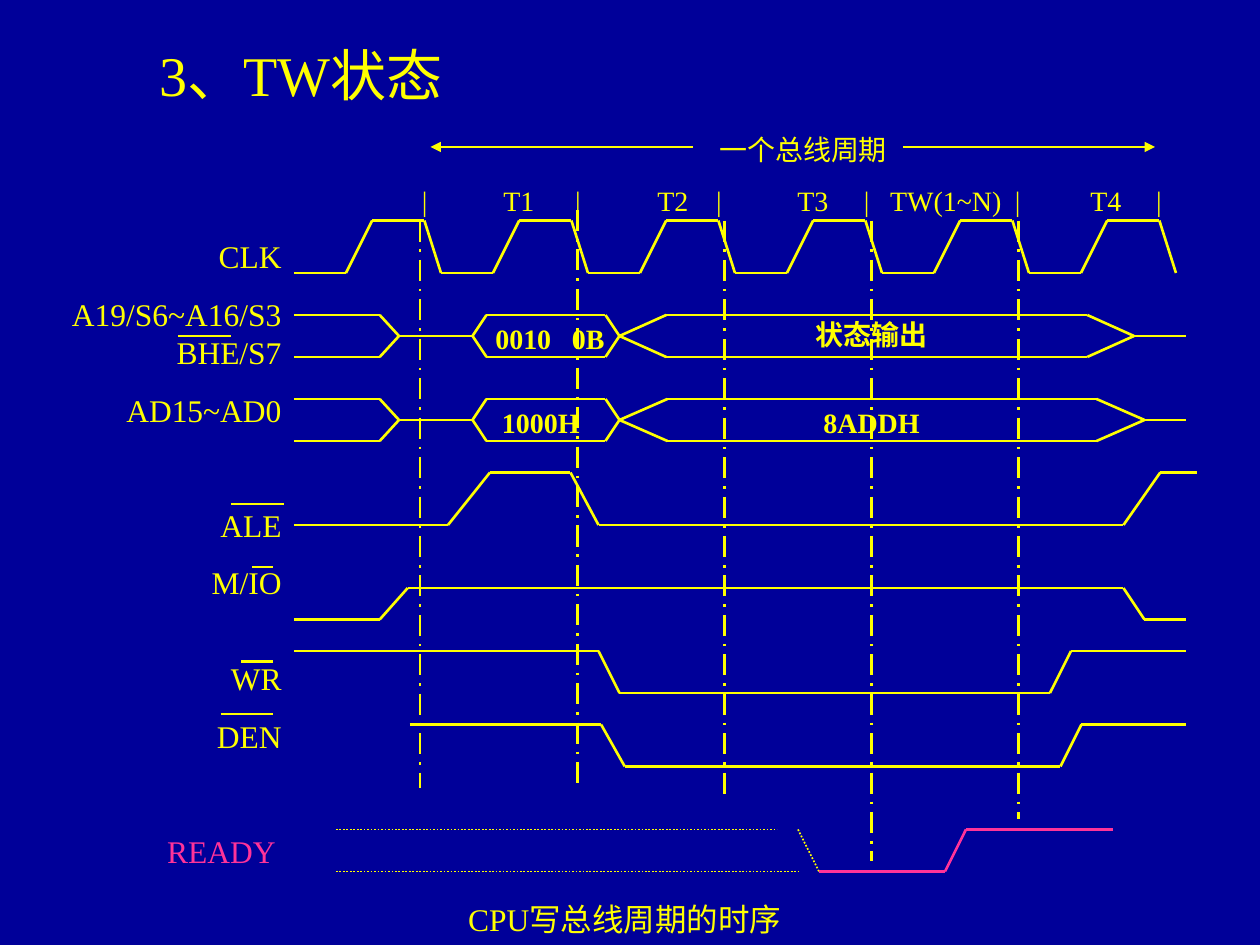
from itertools import pairwise

from lxml import etree
from pptx import Presentation
from pptx.dml.color import RGBColor
from pptx.enum.dml import MSO_LINE
from pptx.enum.shapes import MSO_CONNECTOR
from pptx.enum.text import MSO_ANCHOR, MSO_AUTO_SIZE, PP_ALIGN
from pptx.oxml.ns import qn
from pptx.util import Pt

STRAIGHT = MSO_CONNECTOR.STRAIGHT
DASH_DOT = MSO_LINE.LONG_DASH_DOT
DOTTED = MSO_LINE.ROUND_DOT
LEFT, CENTER, RIGHT = PP_ALIGN.LEFT, PP_ALIGN.CENTER, PP_ALIGN.RIGHT
MIDDLE = MSO_ANCHOR.MIDDLE
NO_FIT = MSO_AUTO_SIZE.NONE

NAVY, YELLOW, PINK = "000099", "FFFF00", "FF3399"
FONT = "Times New Roman"
PERIOD = 84


def color(value):
    return RGBColor.from_string(value)


def draw_trace(slide, left, top, points, hue=YELLOW, width=1.5, dash=None, arrow=False):
    for (x1, y1), (x2, y2) in pairwise(points):
        segment = slide.shapes.add_connector(
            STRAIGHT, Pt(left + x1), Pt(top + y1), Pt(left + x2), Pt(top + y2))
        segment.line.color.rgb = color(hue)
        segment.line.width = Pt(width)
        if dash:
            segment.line.dash_style = dash
        properties = segment._element.spPr
        if arrow:
            outline = properties.find(qn("a:ln"))
            etree.SubElement(outline, qn("a:tailEnd"), type="triangle")
        etree.SubElement(properties, qn("a:effectLst"))


def add_tabs(paragraph, stops):
    properties = paragraph._p.get_or_add_pPr()
    tab_list = etree.SubElement(properties, qn("a:tabLst"))
    for position, side in stops:
        etree.SubElement(tab_list, qn("a:tab"), pos=str(Pt(position)), algn=side)


def format_paragraph(paragraph, size, align=LEFT, bold=False, hue=YELLOW):
    paragraph.alignment = align
    for run in paragraph.runs:
        run.font.name = FONT
        run.font.size = Pt(size)
        run.font.bold = bold
        run.font.color.rgb = color(hue)


def add_text_frame(slide, left, top, width, height):
    frame = slide.shapes.add_textbox(Pt(left), Pt(top), Pt(width), Pt(height)).text_frame
    frame.word_wrap = True
    return frame


def add_caption(slide, left, top, width, height, text, size, align=CENTER, bold=False, tabs=()):
    paragraph = add_text_frame(slide, left, top, width, height).paragraphs[0]
    paragraph.text = text
    if tabs:
        add_tabs(paragraph, tabs)
    format_paragraph(paragraph, size, align, bold)


def place_title(slide, left, top, width, height):
    title = slide.shapes.title
    title.left, title.top, title.width, title.height = map(Pt, (left, top, width, height))
    frame = title.text_frame
    frame.text = "3、TW状态"
    frame.auto_size = NO_FIT
    frame.vertical_anchor = MIDDLE
    frame.paragraphs[0].line_spacing = 0.9
    format_paragraph(frame.paragraphs[0], 32)


def place_signal_labels(slide, left, top, width, height):
    labels = [("CLK", 0), ("A19/S6~A16/S3\vBHE/S7", 11.2), ("AD15~AD0", 11.2),
              ("ALE", 44.1), ("M/IO", 11.2), ("WR", 32.9), ("DEN", 11.2), ("READY", 44.1)]
    frame = add_text_frame(slide, left, top, width, height)
    for index, (label, gap) in enumerate(labels):
        paragraph = frame.add_paragraph() if index else frame.paragraphs[0]
        paragraph.text = label
        paragraph.line_spacing = Pt(21.7)
        paragraph.space_before = Pt(gap)
        ready = label == "READY"
        if ready:
            paragraph._p.get_or_add_pPr().set("marL", str(Pt(58.5)))
        format_paragraph(paragraph, 18, LEFT if ready else RIGHT, hue=PINK if ready else YELLOW)

    for x, y, length in [(72, 60, 30), (102, 156, 30), (114, 192, 12), (108, 246, 18), (96, 276, 30)]:
        draw_trace(slide, left, top, [(x, y), (x + length, y)])


def place_cycle_header(slide, left, top, width, height):
    frame = add_text_frame(slide, left, top, width, height)
    heading, states = frame.paragraphs[0], frame.add_paragraph()
    heading.text = "一个总线周期"
    format_paragraph(heading, 16, CENTER)
    states.text = "|\tT1\t|\tT2\t|\tT3\t|\tTW(1~N)\t|\tT4\t|"
    states.space_before = Pt(10)
    stops = (55.4, 89.1, 143.4, 169.7, 223.4, 254.2, 299.4, 340.5, 390.8, 421.1)
    add_tabs(states, [(stop, "ctr") for stop in stops])
    format_paragraph(states, 16)
    for start, end in ((162, 12), (282, 426)):
        draw_trace(slide, left, top, [(start, 12), (end, 12)], width=0.75, arrow=True)


def place_clock(slide, left, top, height, cycles):
    pulse = [(0, height), (29.7, height), (44.7, 0), (74.5, 0), (PERIOD, height)]
    for cycle in range(cycles):
        draw_trace(slide, left + cycle * PERIOD, top, pulse)


def place_bus(slide, left, top, height, data_slope, data_end, end):
    middle = height / 2
    for edge in (0, height):
        draw_trace(slide, left, top, [(0, edge), (49, edge), (60, middle)])
        draw_trace(slide, left, top,
                   [(102, middle), (110, edge), (178, edge), (186, middle)])
        draw_trace(slide, left, top,
                   [(186, middle), (186 + data_slope, edge),
                    (data_end - data_slope, edge), (data_end, middle)])
    for start, stop in ((60, 102), (data_end, end)):
        draw_trace(slide, left, top, [(start, middle), (stop, middle)])


def place_control_signals(slide, left, top):
    ale = [(0, 30), (88, 30), (112, 0), (158, 0), (174, 30), (474, 30), (495, 0), (516, 0)]
    m_io = [(0, 84), (49, 84), (65, 66), (474, 66), (486, 84), (510, 84)]
    wr = [(0, 102), (174, 102), (186, 126), (432, 126), (444, 102), (510, 102)]
    den = [(66, 144), (175.5, 144), (189, 168), (438, 168), (450, 144), (510, 144)]
    for points in (ale, m_io, wr, den):
        draw_trace(slide, left, top, points)


def place_ready(slide, left, top, height):
    for points in ([(0, 0), (252, 0)], [(0, height), (264, height)], [(264, 0), (276, height)]):
        draw_trace(slide, left, top, points, width=1, dash=DOTTED)
    draw_trace(slide, left, top,
               [(276, height), (348, height), (360, 0), (444, 0)], PINK)


def place_state_boundaries(slide, left, top):
    for x, start, end in [(0, 0, 324), (90, -6, 324), (174, 0, 330),
                          (174 + PERIOD, 0, 366), (174 + 2 * PERIOD, 0, 342)]:
        draw_trace(slide, left, top, [(x, start), (x, end)], dash=DASH_DOT)


def build_timing_slide(presentation):
    slide = presentation.slides.add_slide(presentation.slide_layouts[5])
    slide.background.fill.solid()
    slide.background.fill.fore_color.rgb = color(NAVY)
    place_title(slide, 84, 24, 201.6, 41.8)
    place_clock(slide, 168, 126, 30, 6)
    place_bus(slide, 168, 180, 24, 26.7, 480, 510)
    place_bus(slide, 168, 228, 24, 27.4, 486, 510)
    place_control_signals(slide, 168, 270)
    place_signal_labels(slide, 30, 132, 138, 368)
    place_cycle_header(slide, 234, 72, 450, 55.4)
    add_caption(slide, 276, 180, 78, 26.6, "0010\t0B", 16, LEFT, True, [(43.7, "l")])
    add_caption(slide, 276, 228, 66, 26.6, "1000H", 16, bold=True)
    add_caption(slide, 420, 228, 156, 26.6, "8ADDH", 16, bold=True)
    add_caption(slide, 456, 178, 84, 26.6, "状态输出", 16, bold=True)
    place_state_boundaries(slide, 240, 126)
    place_ready(slide, 192, 474, 24)
    add_caption(slide, 216, 511, 282, 29, "CPU写总线周期的时序", 18)


def main():
    presentation = Presentation()
    presentation.slide_width, presentation.slide_height = Pt(720), Pt(540)
    build_timing_slide(presentation)
    presentation.save("out.pptx")


if __name__ == "__main__":
    main()
